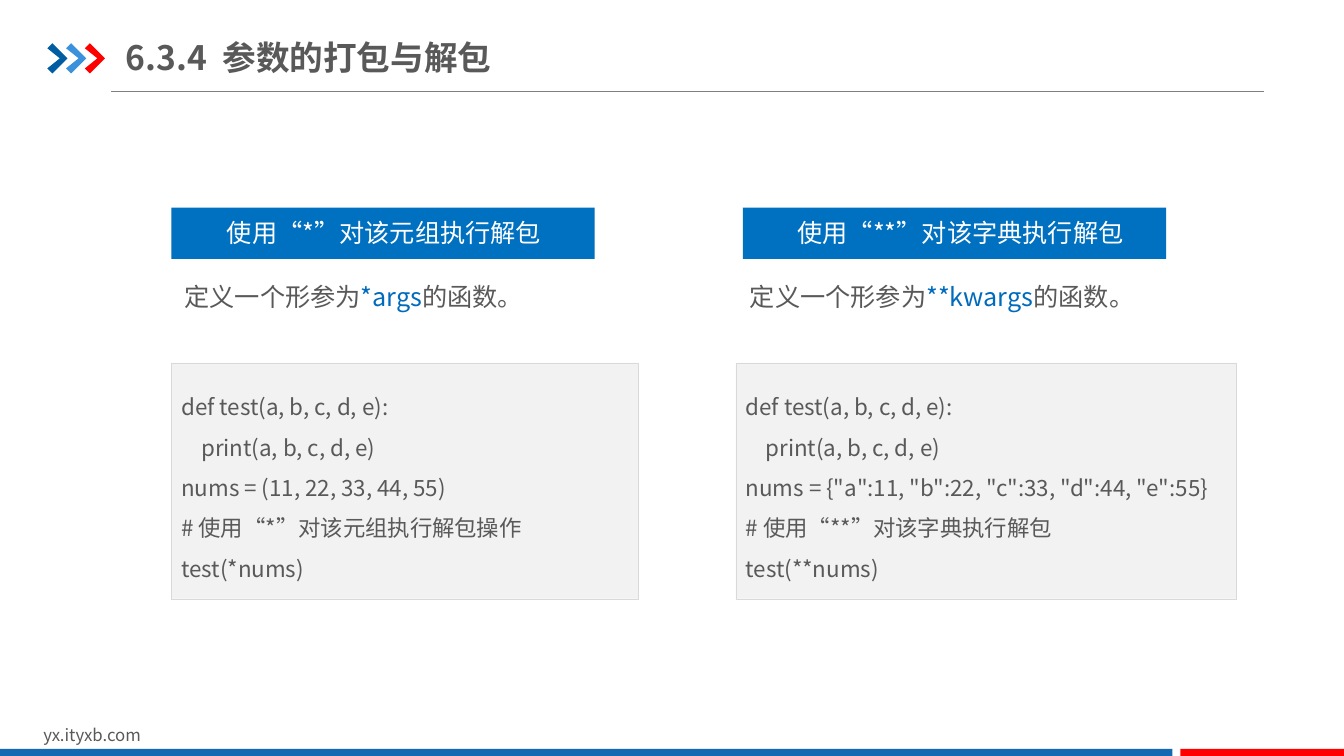
import pptx
import pptx.dml.color
import pptx.enum.shapes
import pptx.enum.text
import pptx.oxml
import pptx.oxml.ns
import pptx.util

Pt = pptx.util.Pt
RGBColor = pptx.dml.color.RGBColor
ALIGN = pptx.enum.text.PP_ALIGN
ANCHOR = pptx.enum.text.MSO_ANCHOR
AUTO_SIZE = pptx.enum.text.MSO_AUTO_SIZE

FONT = "Noto Sans CJK SC"
INK = RGBColor(0x59, 0x59, 0x59)
WHITE = RGBColor(0xFF, 0xFF, 0xFF)
RULE_GREY = RGBColor(0x80, 0x80, 0x80)
CODE_FILL = RGBColor(0xF2, 0xF2, 0xF2)
CODE_LINE = RGBColor(0xD9, 0xD9, 0xD9)
BANNER_BLUE = RGBColor(0x00, 0x70, 0xC0)
TERM_BLUE = RGBColor(0x00, 0x6B, 0xBC)
FOOTER_BLUE = RGBColor(0x13, 0x69, 0xB2)
RED = RGBColor(0xFF, 0x00, 0x00)
CHEVRON_COLORS = [RGBColor(0x00, 0x5D, 0xA2), RGBColor(0x39, 0x92, 0xDB), RED]


def write_text(holder, paragraphs, size=18, color=INK, bold=False, align=ALIGN.LEFT,
               anchor=ANCHOR.TOP, spacing=1.0, insets=(7.2, 3.6), fit=AUTO_SIZE.NONE):
    """Fill a shape with paragraphs, each a string or a list of (text, colour) runs."""
    frame = holder.text_frame
    frame.word_wrap = True
    frame.auto_size = fit
    frame.vertical_anchor = anchor
    frame.margin_left = frame.margin_right = Pt(insets[0])
    frame.margin_top = frame.margin_bottom = Pt(insets[1])
    for index, content in enumerate(paragraphs):
        paragraph = frame.paragraphs[0] if index == 0 else frame.add_paragraph()
        paragraph.alignment = align
        paragraph.line_spacing = spacing
        paragraph.space_before = Pt(0)
        runs = [(content, color)] if isinstance(content, str) else content
        for words, run_color in runs:
            run = paragraph.add_run()
            run.text = words
            run.font.name = FONT
            run.font.size = Pt(size)
            run.font.bold = bold
            run.font.color.rgb = run_color
            east_asian = pptx.oxml.parse_xml(
                f'<a:ea {pptx.oxml.ns.nsdecls("a")} typeface="{FONT}"/>')
            run.font._element.append(east_asian)


def add_label(slide, box, paragraphs, **style):
    """Add a text box that grows with its text."""
    label = slide.shapes.add_textbox(*map(Pt, box))
    write_text(label, paragraphs, fit=AUTO_SIZE.SHAPE_TO_FIT_TEXT, **style)


def paint(shape, fill, line=None):
    """Give a shape a flat fill and an optional hairline."""
    shape.shadow.inherit = False
    shape.fill.solid()
    shape.fill.fore_color.rgb = fill
    if line is None:
        shape.line.fill.background()
    else:
        shape.line.color.rgb = line
        shape.line.width = Pt(0.25)


def add_block(slide, box, fill, line=None):
    """Add a painted rectangle."""
    block = slide.shapes.add_shape(
        pptx.enum.shapes.MSO_SHAPE.RECTANGLE, *map(Pt, box))
    paint(block, fill, line)
    return block


def add_chevrons(slide, left, top, height, pitch):
    """Draw the three chevrons in front of the title."""
    half, notch = height / 2, height / 6
    outline = [(0, notch), (notch, 0), (notch + half, half), (notch, height),
               (0, height - notch), (half - notch / 2, half)]
    for index, color in enumerate(CHEVRON_COLORS):
        points = [(Pt(left + index * pitch + x), Pt(top + y)) for x, y in outline]
        builder = slide.shapes.build_freeform(*points[0])
        builder.add_line_segments(points[1:], close=True)
        paint(builder.convert_to_shape(), color)


def add_heading(slide, left, top, width, title_text):
    """Place the chevrons, the title and the rule under it."""
    add_chevrons(slide, left, top + 10, 21.6, 13.4)
    title = slide.shapes.title
    title.left, title.top = Pt(left + 56.2), Pt(top)
    title.width, title.height = Pt(361.4), Pt(39.6)
    write_text(title, [title_text], size=24, bold=True, anchor=ANCHOR.MIDDLE,
               insets=(0, 5))
    rule_y = Pt(top + 44.6)
    rule = slide.shapes.add_connector(
        pptx.enum.shapes.MSO_CONNECTOR.STRAIGHT,
        Pt(left + 45.4), rule_y, Pt(left + width), rule_y)
    rule.line.color.rgb = RULE_GREY
    rule.line.width = Pt(0.75)
    rule._element.spPr.append(
        pptx.oxml.parse_xml(f'<a:effectLst {pptx.oxml.ns.nsdecls("a")}/>'))


def add_example(slide, left, top, code_width, banner_shift, caption_box, intro_box,
                caption, term, code):
    """Place one column: banner, introduction and code panel."""
    add_block(slide, (left + banner_shift, top, 302.4, 36.7), BANNER_BLUE)
    caption_shift, caption_width = caption_box
    add_label(slide, (left + caption_shift, top + 3.6, caption_width, 28.8), [caption],
              color=WHITE, align=ALIGN.CENTER, anchor=ANCHOR.MIDDLE)
    intro_shift, intro_width = intro_box
    intro = [("定义一个形参为", INK), (term, TERM_BLUE), ("的函数。", INK)]
    add_label(slide, (left + intro_shift, top + 36.7, intro_width, 38.9), [intro],
              align=ALIGN.JUSTIFY, spacing=1.5, insets=(9.4, 5))
    panel = add_block(slide, (left, top + 110.9, code_width, 168.5), CODE_FILL, CODE_LINE)
    write_text(panel, code, size=16, anchor=ANCHOR.MIDDLE, spacing=1.5)


def add_footer(slide, top, width):
    """Place the site address and the two-colour strip."""
    add_label(slide, (23.8, top - 20.9, 229, 21.6), ["yx.ityxb.com"], size=12)
    add_block(slide, (0, top, 837.4, 5), FOOTER_BLUE)
    add_block(slide, (843.1, top, width - 843.1, 5), RED)


def main():
    """Build and save the slide."""
    deck = pptx.Presentation()
    deck.slide_width, deck.slide_height = Pt(960), Pt(540)
    slide = deck.slides.add_slide(deck.slide_layouts[5])
    add_heading(slide, 33.8, 20.9, 869, "6.3.4  参数的打包与解包")
    definition = ["def test(a, b, c, d, e):", "    print(a, b, c, d, e)"]
    add_example(slide, 122.4, 148.3, 333.4, 0, (25.2, 253.4), (0, 302.4),
                "使用“*”对该元组执行解包", "*args",
                definition + ["nums = (11, 22, 33, 44, 55)",
                              "# 使用“*”对该元组执行解包操作", "test(*nums)"])
    add_example(slide, 525.6, 148.3, 357.8, 5, (8.6, 303.8), (0.7, 311.8),
                "使用“**”对该字典执行解包", "**kwargs",
                definition + ['nums = {"a":11, "b":22, "c":33, "d":44, "e":55}',
                              "# 使用“**”对该字典执行解包", "test(**nums)"])
    add_footer(slide, 535, 960)
    deck.save("out.pptx")


if __name__ == "__main__":
    main()
